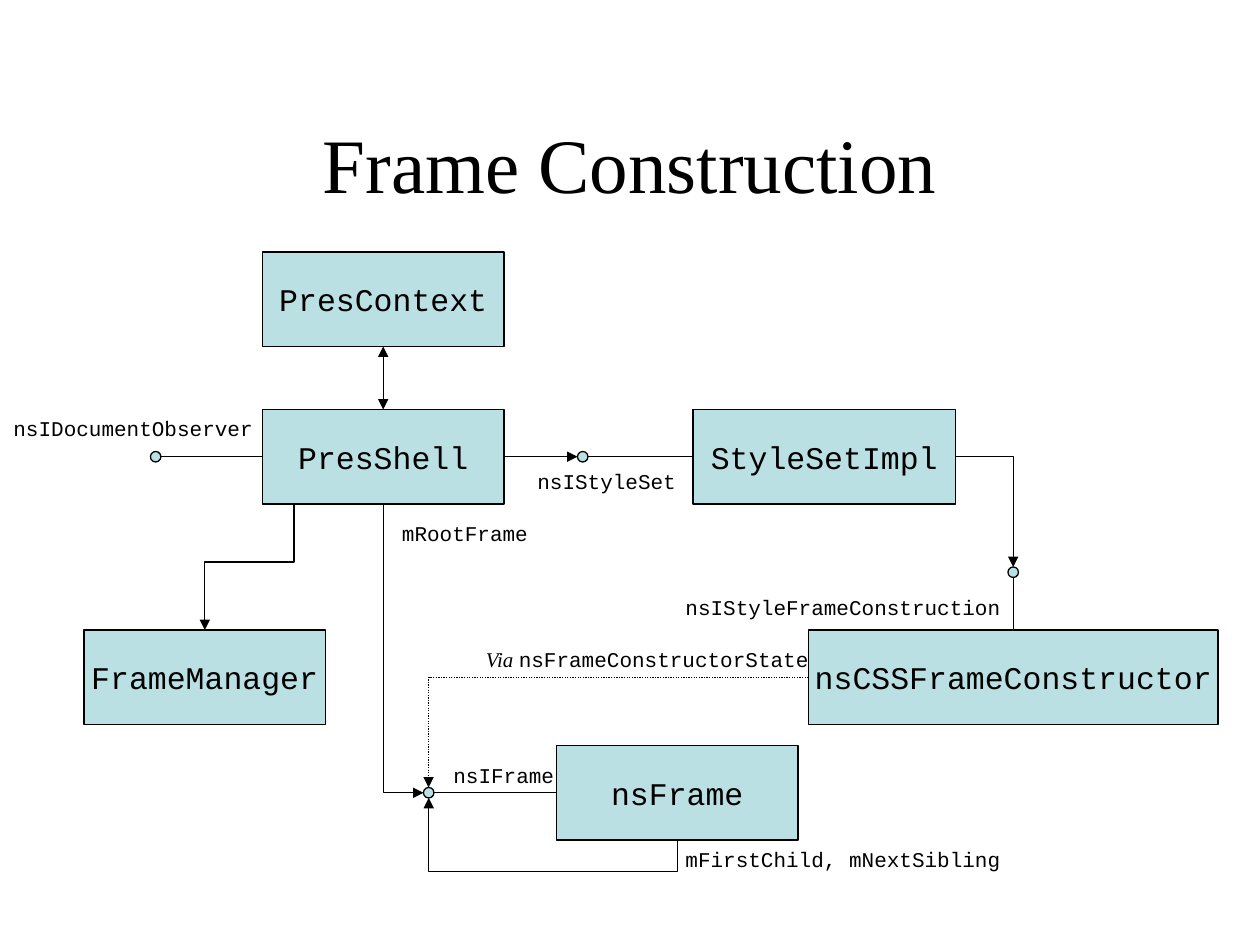
from dataclasses import dataclass

from lxml import etree
from pptx import Presentation
from pptx.dml.color import RGBColor
from pptx.enum.dml import MSO_LINE
from pptx.enum.shapes import MSO_CONNECTOR, MSO_SHAPE
from pptx.enum.text import MSO_ANCHOR, PP_ALIGN
from pptx.oxml.ns import qn
from pptx.util import Inches, Pt

STRAIGHT, ELBOW = MSO_CONNECTOR.STRAIGHT, MSO_CONNECTOR.ELBOW
PROCESS, JOINT = MSO_SHAPE.FLOWCHART_PROCESS, MSO_SHAPE.FLOWCHART_CONNECTOR
MIDDLE, CENTER, LEFT = MSO_ANCHOR.MIDDLE, PP_ALIGN.CENTER, PP_ALIGN.LEFT
DOTTED = MSO_LINE.ROUND_DOT
TOP_SIDE, LEFT_SIDE, BOTTOM_SIDE, RIGHT_SIDE = range(4)
COLUMNS, ROWS = 120, 90
BOX_ROWS, LABEL_ROWS = 9, 3.6
INK, PALE_TEAL = "000000", "BBE0E3"
CODE, SERIF = "Courier New", "Times New Roman"

CLASSES = {
    "PresContext": (25, 24, 23),
    "PresShell": (25, 39, 23),
    "StyleSetImpl": (66, 39, 25),
    "FrameManager": (8, 60, 23),
    "nsCSSFrameConstructor": (77, 60, 39),
    "nsFrame": (53, 71, 23),
}
INTERFACES = [(14.33, 43), (55, 43), (96, 54), (40.33, 75)]
LABELS = [
    ("nsIDocumentObserver", 0.1, 39),
    ("nsIStyleSet", 50, 44),
    ("nsIStyleFrameConstruction", 64.1, 56),
    ("mRootFrame", 37.1, 49),
    ("nsIFrame", 42, 72),
    ("mFirstChild, mNextSibling", 64.1, 80),
]
INTERFACE_LINES = [
    ((15.33, 43.5), "PresShell", LEFT_SIDE),
    ((56, 43.5), "StyleSetImpl", LEFT_SIDE),
    ((96.5, 55), "nsCSSFrameConstructor", TOP_SIDE),
    ((41.33, 75.5), "nsFrame", LEFT_SIDE),
]


@dataclass
class Grid:
    """A region of the slide split into columns and rows."""

    left: int
    top: int
    width: int
    height: int

    def point(self, column, row):
        """Return the slide position of a grid point."""
        return (self.left + round(self.width * column / COLUMNS),
                self.top + round(self.height * row / ROWS))

    def area(self, column, row, columns, rows):
        """Return left, top, width and height of a grid area."""
        left, top = self.point(column, row)
        right, bottom = self.point(column + columns, row + rows)
        return left, top, right - left, bottom - top


def color(hex_string):
    """Turn a hex string into a colour."""
    return RGBColor.from_string(hex_string)


def style_font(font, face, size):
    """Set face, size and ink colour of a font."""
    font.name, font.size = face, Pt(size)
    font.color.rgb = color(INK)


def add_node(slide, grid, kind, area):
    """Add a pale outlined shape in a grid area."""
    node = slide.shapes.add_shape(kind, *grid.area(*area))
    node.shadow.inherit = False
    node.fill.solid()
    node.fill.fore_color.rgb = color(PALE_TEAL)
    node.line.color.rgb = color(INK)
    node.line.width = Pt(0.75)
    return node


def add_class(slide, grid, name, column, row, columns):
    """Add a class box with its name."""
    node = add_node(slide, grid, PROCESS, (column, row, columns, BOX_ROWS))
    frame = node.text_frame
    frame.word_wrap = False
    frame.vertical_anchor = MIDDLE
    paragraph = frame.paragraphs[0]
    paragraph.text, paragraph.alignment = name, CENTER
    style_font(paragraph.font, CODE, 18)
    return node


def add_label(slide, grid, text, column, row, columns):
    """Add an empty-backed label and return its paragraph."""
    label = slide.shapes.add_textbox(*grid.area(column, row, columns, LABEL_ROWS))
    label.text_frame.word_wrap = False
    paragraph = label.text_frame.paragraphs[0]
    paragraph.text, paragraph.alignment = text, LEFT
    style_font(paragraph.font, CODE, 12)
    return paragraph


def add_line(slide, grid, start, end, kind=STRAIGHT, arrows=(), dash=None):
    """Add a thin line between two grid points."""
    line = slide.shapes.add_connector(kind, *grid.point(*start), *grid.point(*end))
    line.line.color.rgb = color(INK)
    line.line.width = Pt(0.75)
    if dash:
        line.line.dash_style = dash
    outline = line.line._get_or_add_ln()
    for arrow in arrows:
        etree.SubElement(outline, qn(f"a:{arrow}")).set("type", "triangle")
    etree.SubElement(line._element.spPr, qn("a:effectLst"))
    return line


def add_elbow(slide, grid, start, end, vertical=True, bend=None, dash=None):
    """Add a bent arrow, with two legs or with a middle leg at the bend share."""
    elbow = add_line(slide, grid, start, end, ELBOW, ["tailEnd"], dash)
    geometry = elbow._element.spPr.find(qn("a:prstGeom"))
    if bend is None:
        geometry.set("prst", "bentConnector2")
    else:
        guides = geometry.find(qn("a:avLst"))
        if guides is None:
            guides = etree.SubElement(geometry, qn("a:avLst"))
        guide = etree.SubElement(guides, qn("a:gd"))
        guide.set("name", "adj1")
        guide.set("fmla", f"val {round(bend * 100000)}")
    if vertical:
        left, top, width, height = elbow.left, elbow.top, elbow.width, elbow.height
        elbow.left = left + (width - height) // 2
        elbow.top = top + (height - width) // 2
        elbow.width, elbow.height = height, width
        rightward, downward = end[0] > start[0], end[1] > start[1]
        transform = elbow._element.spPr.find(qn("a:xfrm"))
        transform.set("rot", "5400000" if downward else "16200000")
        transform.set("flipH", "0")
        transform.set("flipV", "1" if rightward == downward else "0")


def add_title(slide, grid):
    """Place and format the slide title."""
    title = slide.shapes.title
    title.left, title.top, title.width, title.height = grid.area(9, 8, 102, 15)
    title.text_frame.vertical_anchor = MIDDLE
    paragraph = title.text_frame.paragraphs[0]
    paragraph.text, paragraph.alignment = "Frame Construction", CENTER
    style_font(paragraph.font, SERIF, 44)


def add_labels(slide, grid):
    """Add the interface and member names."""
    for text, column, row in LABELS:
        add_label(slide, grid, text, column, row, 1.2 * len(text) + 2.4)
    state = add_label(slide, grid, "", 45.1, 61, 33.2)
    for text, face in (("Via ", SERIF), ("nsFrameConstructorState", CODE)):
        run = state.add_run()
        run.text = text
        style_font(run.font, face, 12)
        run.font.italic = face == SERIF


def add_diagram(slide, grid):
    """Draw the classes, their interfaces and the links between them."""
    boxes = {name: add_class(slide, grid, name, *place)
             for name, place in CLASSES.items()}
    for column, row in INTERFACES:
        add_node(slide, grid, JOINT, (column, row, 1, 1))
    for start, name, side in INTERFACE_LINES:
        line = add_line(slide, grid, start, start)
        line.end_connect(boxes[name], side)

    context = add_line(slide, grid, (36.5, 33), (36.5, 39),
                       arrows=["headEnd", "tailEnd"])
    context.begin_connect(boxes["PresContext"], BOTTOM_SIDE)
    context.end_connect(boxes["PresShell"], TOP_SIDE)
    style_set = add_line(slide, grid, (48, 43.5), (55, 43.5), arrows=["tailEnd"])
    style_set.begin_connect(boxes["PresShell"], RIGHT_SIDE)
    add_line(slide, grid, (28, 51), (28, 48))

    add_elbow(slide, grid, (28, 51), (19.5, 60), bend=0.28)
    add_elbow(slide, grid, (36.5, 48), (40.33, 75.5))
    add_elbow(slide, grid, (64.5, 80), (40.83, 76), bend=-0.75)
    add_elbow(slide, grid, (91, 43.5), (96.5, 54), vertical=False)
    add_elbow(slide, grid, (77, 64.5), (40.83, 75), vertical=False, dash=DOTTED)
    add_labels(slide, grid)


def main():
    """Build and save the presentation."""
    deck = Presentation()
    deck.slide_width, deck.slide_height = Inches(10), Inches(7.5)
    slide = deck.slides.add_slide(deck.slide_layouts[5])
    page = Grid(0, 0, deck.slide_width, deck.slide_height)
    add_title(slide, page)
    add_diagram(slide, page)
    deck.save("out.pptx")


if __name__ == "__main__":
    main()
